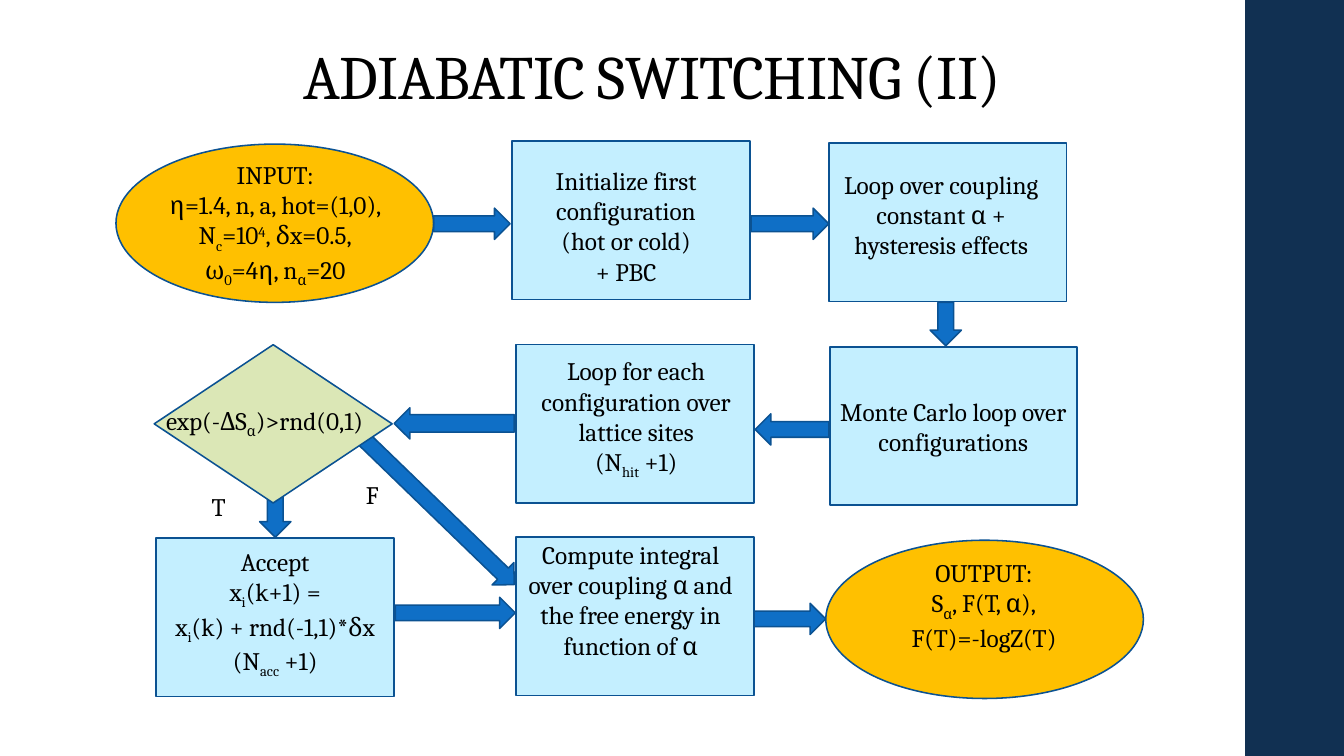
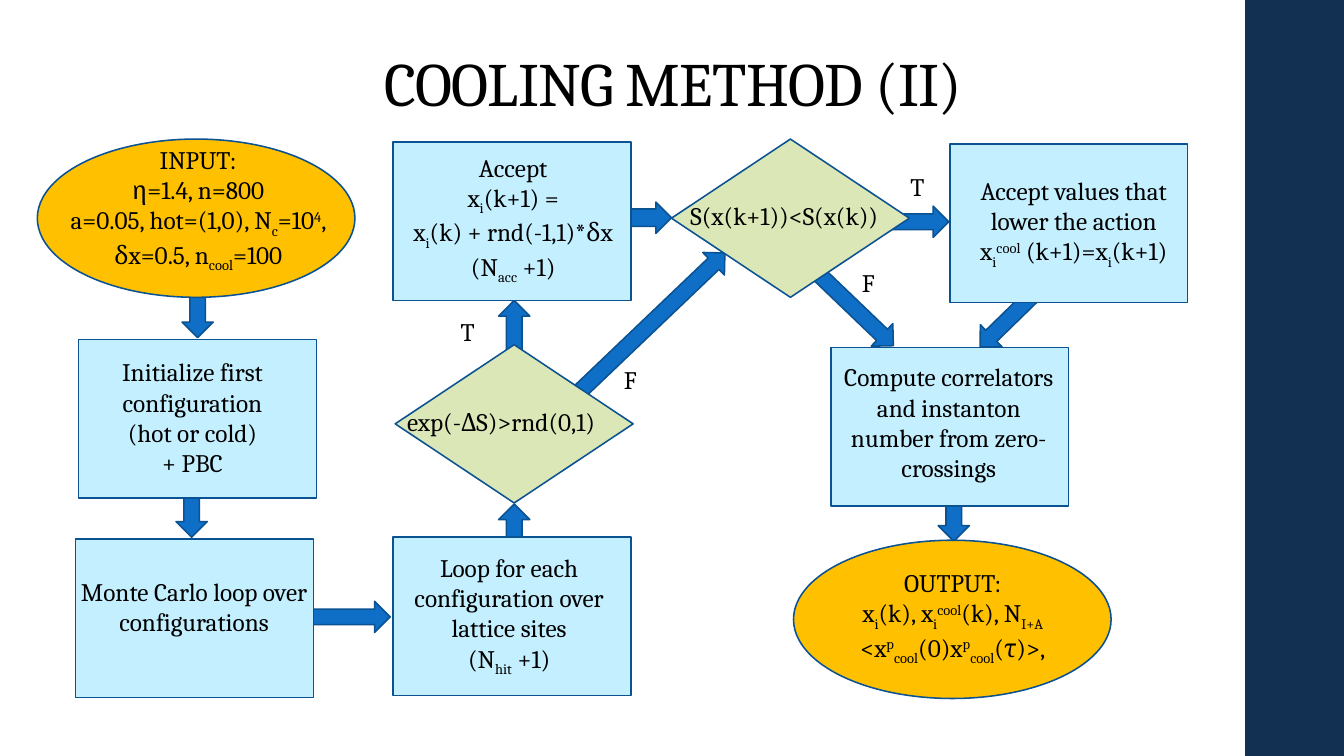
import math
from dataclasses import dataclass

import pptx
import pptx.dml.color
import pptx.enum.shapes
import pptx.enum.text
import pptx.util

Inches = pptx.util.Inches
Pt = pptx.util.Pt
Shape = pptx.enum.shapes.MSO_SHAPE
Align = pptx.enum.text.PP_ALIGN

FONT = "Cambria"
BLACK, NAVY = "000000", "113052"
ARROW_BLUE, OUTLINE = "0F6FC6", "0B5292"
ARROW_HEIGHT, STEP_HEIGHT = 0.31, 1.57
SCRIPTS = {"_": "-25000", "^": "30000"}


@dataclass(frozen=True)
class Kind:
    preset: Shape
    fill: str
    width: float
    align: Align = Align.CENTER


TERMINAL = Kind(Shape.OVAL, "FFC000", 3.15)
PROCESS = Kind(Shape.RECTANGLE, "C4EFFF", 2.36)
WIDE_PROCESS = Kind(Shape.RECTANGLE, "C4EFFF", 2.45)
DECISION = Kind(Shape.DIAMOND, "DBE7B6", 2.36, Align.LEFT)


@dataclass(frozen=True)
class Label:
    """Text whose sub- and superscripts are written _{...} and ^{...}."""
    left: float
    top: float
    width: float
    lines: tuple[str, ...]


@dataclass(frozen=True)
class Step:
    kind: Kind
    left: float
    top: float
    label: Label


@dataclass(frozen=True)
class Arrow:
    x1: float
    y1: float
    x2: float
    y2: float
    shaft: float = 0.5


@dataclass(frozen=True)
class Flowchart:
    title: str
    title_left: float
    title_top: float
    arrows: tuple[Arrow, ...]
    steps: tuple[Step, ...]
    branches: tuple[Label, ...]


# Wording used in both flowcharts
INITIALIZE = ("Initialize first configuration", "(hot or cold)", "+ PBC")
MONTE_CARLO = ("Monte Carlo loop over configurations",)
SITE_LOOP = ("Loop for each configuration over lattice sites", "(N_{hit} +1)")
ACCEPT = ("Accept", "x_{i}(k+1) =", "x_{i}(k) + rnd(-1,1)*δx", "(N_{acc} +1)")

ADIABATIC = Flowchart(
    "ADIABATIC SWITCHING (II)", 1.17, 0.33,
    arrows=(
        Arrow(4.3, 2.22, 5.06, 2.22),
        Arrow(7.45, 2.22, 8.22, 2.22),
        Arrow(9.38, 3, 9.38, 3.43),
        Arrow(8.22, 4.26, 7.49, 4.26),
        Arrow(5.1, 4.2, 3.91, 4.2, shaft=0.56),
        Arrow(2.73, 4.81, 2.73, 5.33),
        Arrow(2.9, 3.67, 5.1, 5.8),
        Arrow(3.92, 6.08, 5.11, 6.08),
        Arrow(7.42, 6.14, 8.19, 6.14),
    ),
    steps=(
        Step(TERMINAL, 1.15, 1.43, Label(1.35, 1.53, 2.76, (
            "INPUT:", "η=1.4, n, a, hot=(1,0), N_{c}=10^{4}, δx=0.5,",
            "ω_{0}=4η, n_{α}=20"))),
        Step(PROCESS, 5.08, 1.4, Label(5.03, 1.59, 2.36, INITIALIZE)),
        Step(PROCESS, 8.22, 1.42, Label(8.11, 1.63, 2.45, (
            "Loop over coupling constant α + hysteresis effects",))),
        Step(WIDE_PROCESS, 8.23, 3.44, Label(8.23, 3.88, 2.45, MONTE_CARLO)),
        Step(PROCESS, 5.12, 3.42, Label(5.13, 3.48, 2.36, SITE_LOOP)),
        Step(DECISION, 1.53, 3.42, Label(1.55, 3.97, 2.56, (
            "exp(-ΔS_{α})>rnd(0,1)",))),
        Step(PROCESS, 1.55, 5.34, Label(1.51, 5.37, 2.44, ACCEPT)),
        Step(PROCESS, 5.12, 5.33, Label(5.09, 5.3, 2.33, (
            "Compute integral over coupling α and the free energy "
            "in function of α",))),
        Step(TERMINAL, 8.19, 5.36, Label(8.66, 5.48, 2.2, (
            "OUTPUT:", "S_{α}, F(T, α),", "F(T)=-logZ(T)"))),
    ),
    branches=(Label(2, 4.83, 0.4, ("T",)), Label(3.53, 4.71, 0.59, ("F",))),
)

COOLING = Flowchart(
    "COOLING METHOD (II)", 1.38, 0.4,
    arrows=(
        Arrow(1.96, 2.24, 1.96, 3.35),
        Arrow(1.9, 4.8, 1.9, 5.33),
        Arrow(3.08, 6.12, 3.87, 6.12),
        Arrow(5.1, 6.61, 5.1, 5),
        Arrow(5.1, 4.09, 5.1, 2.98),
        Arrow(5.65, 3.98, 7.19, 2.51),
        Arrow(6.09, 2.16, 6.66, 2.16, shaft=0.56),
        Arrow(7.87, 2.2, 9.41, 2.2),
        Arrow(7.64, 2.26, 8.86, 3.43),
        Arrow(10.51, 2.67, 9.72, 3.44),
        Arrow(9.46, 4.26, 9.46, 5.37),
    ),
    steps=(
        Step(TERMINAL, 0.37, 1.38, Label(0.27, 1.38, 3.39, (
            "INPUT:", "η=1.4, n=800",
            "a=0.05, hot=(1,0), N_{c}=10^{4}, δx=0.5, n_{cool}=100"))),
        Step(PROCESS, 0.78, 3.37, Label(0.73, 3.49, 2.36, INITIALIZE)),
        Step(PROCESS, 0.75, 5.35, Label(0.7, 5.67, 2.45, MONTE_CARLO)),
        Step(PROCESS, 3.9, 5.33, Label(3.87, 5.43, 2.36, SITE_LOOP)),
        Step(DECISION, 3.92, 3.42, Label(3.94, 3.98, 2.56, (
            "exp(-ΔS)>rnd(0,1)",))),
        Step(PROCESS, 3.9, 1.41, Label(3.87, 1.46, 2.44, ACCEPT)),
        Step(DECISION, 6.66, 1.38, Label(6.75, 1.94, 2.26, (
            "S(x(k+1))<S(x(k))",))),
        Step(PROCESS, 9.42, 1.43, Label(9.41, 1.69, 2.48, (
            "Accept values that lower the action",
            "x_{i}^{cool} (k+1)=x_{i}(k+1)"))),
        Step(PROCESS, 8.24, 3.45, Label(8.17, 3.54, 2.48, (
            "Compute correlators and instanton number from zero-crossings",))),
        Step(TERMINAL, 7.87, 5.36, Label(7.95, 5.58, 3, (
            "OUTPUT:", "x_{i}(k), x_{i}^{cool}(k), N_{I+A}",
            "<x^{p}_{cool}(0)x^{p}_{cool}(τ)>,"))),
    ),
    branches=(
        Label(4.47, 3.09, 0.5, ("T",)), Label(6.09, 3.57, 0.59, ("F",)),
        Label(8.93, 1.65, 0.4, ("T",)), Label(8.45, 2.6, 0.36, ("F",)),
    ),
)


def color(value: str) -> pptx.dml.color.RGBColor:
    return pptx.dml.color.RGBColor.from_string(value)


def add_block(slide, preset: Shape, left: float, top: float, width: float,
              height: float, fill: str, outline: str | None = OUTLINE):
    block = slide.shapes.add_shape(
        preset, Inches(left), Inches(top), Inches(width), Inches(height))
    block.shadow.inherit = False
    block.fill.solid()
    block.fill.fore_color.rgb = color(fill)
    if outline:
        block.line.color.rgb = color(outline)
        block.line.width = Pt(1.1)
    else:
        block.line.fill.background()
    return block


def style_font(paragraph, size: float) -> None:
    paragraph.font.name = FONT
    paragraph.font.size = Pt(size)
    paragraph.font.color.rgb = color(BLACK)


def add_formula(paragraph, markup: str) -> None:
    """Write plain, subscript and superscript runs."""
    for piece in markup.split("}"):
        plain, _, script = piece.partition("{")
        base = plain[:-1] if script else plain
        if base:
            paragraph.add_run().text = base
        if script:
            run = paragraph.add_run()
            run.text = script
            run.font._element.set("baseline", SCRIPTS[plain[-1]])


def add_label(slide, label: Label, align: Align) -> None:
    box = slide.shapes.add_textbox(
        Inches(label.left), Inches(label.top), Inches(label.width),
        Inches(0.1 + 0.3 * len(label.lines)))
    frame = box.text_frame
    frame.word_wrap = True
    frame.auto_size = pptx.enum.text.MSO_AUTO_SIZE.SHAPE_TO_FIT_TEXT
    for index, line in enumerate(label.lines):
        paragraph = frame.add_paragraph() if index else frame.paragraphs[0]
        paragraph.alignment = align
        style_font(paragraph, 18)
        add_formula(paragraph, line)


def add_arrow(slide, arrow: Arrow) -> None:
    dx, dy = arrow.x2 - arrow.x1, arrow.y2 - arrow.y1
    length = math.hypot(dx, dy)
    block = add_block(
        slide, Shape.RIGHT_ARROW, (arrow.x1 + arrow.x2 - length) / 2,
        (arrow.y1 + arrow.y2 - ARROW_HEIGHT) / 2, length, ARROW_HEIGHT,
        ARROW_BLUE)
    block.rotation = math.degrees(math.atan2(dy, dx)) % 360
    block.adjustments[0] = arrow.shaft


def set_title(slide, chart: Flowchart) -> None:
    title = slide.shapes.title
    title.left, title.top = Inches(chart.title_left), Inches(chart.title_top)
    title.width, title.height = Inches(10.6), Inches(0.84)
    title.text_frame.vertical_anchor = pptx.enum.text.MSO_ANCHOR.BOTTOM
    title.text_frame.text = chart.title
    heading = title.text_frame.paragraphs[0]
    heading.alignment = Align.CENTER
    heading.line_spacing = 0.9
    style_font(heading, 44)
    heading.runs[0].font._element.set("spc", "-50")


def add_flowchart(slide, chart: Flowchart) -> None:
    set_title(slide, chart)
    # Arrows lie behind the steps they join
    for arrow in chart.arrows:
        add_arrow(slide, arrow)
    for step in chart.steps:
        add_block(slide, step.kind.preset, step.left, step.top,
                  step.kind.width, STEP_HEIGHT, step.kind.fill)
        add_label(slide, step.label, step.kind.align)
    for branch in chart.branches:
        add_label(slide, branch, Align.LEFT)


def main() -> None:
    deck = pptx.Presentation()
    deck.slide_width, deck.slide_height = Inches(13.33), Inches(7.5)
    layout = deck.slide_layouts.get_by_name("Title Only")
    slides = [deck.slides.add_slide(layout) for _ in range(2)]

    # The side band belongs to the shared layout
    band = add_block(slides[0], Shape.RECTANGLE, 12.35, 0, 0.98, 7.5,
                     NAVY, outline=None)
    layout.shapes._spTree.append(band._element)

    for slide, chart in zip(slides, (ADIABATIC, COOLING)):
        add_flowchart(slide, chart)
    deck.save("out.pptx")


if __name__ == "__main__":
    main()
